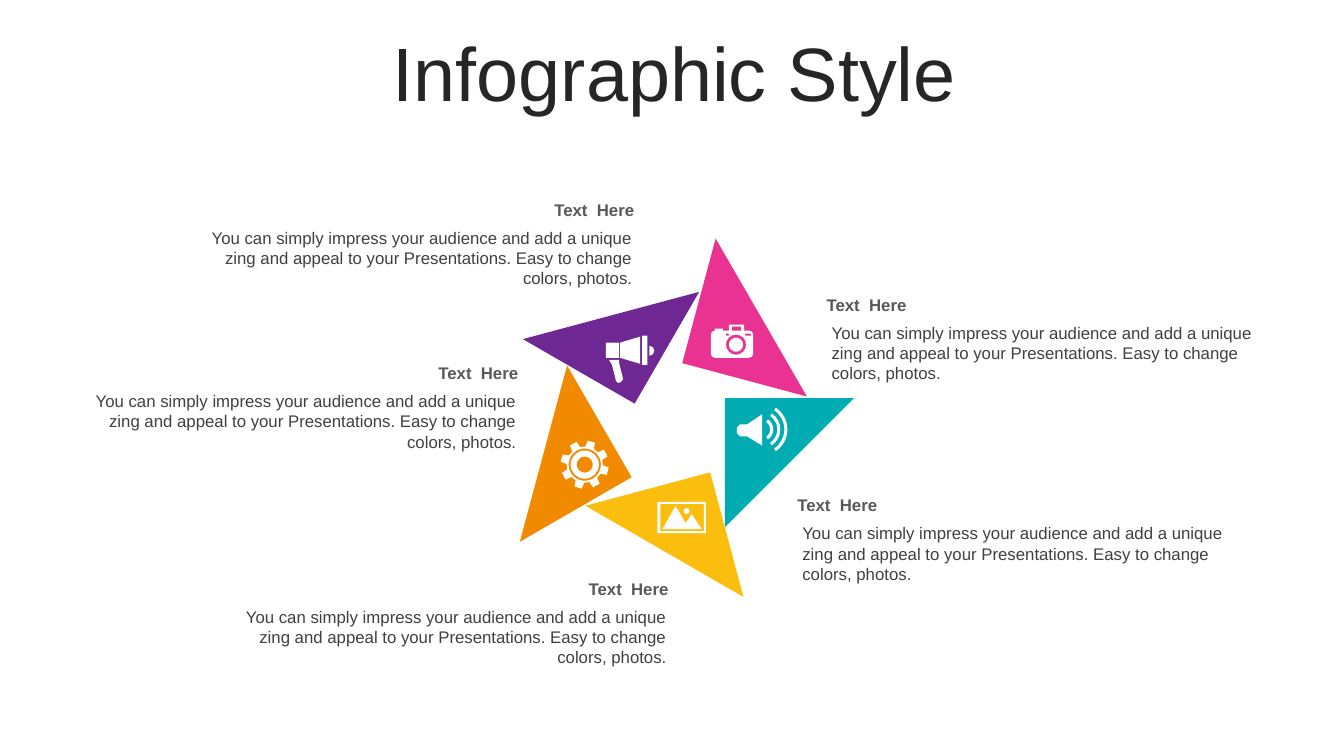
from dataclasses import dataclass
from math import ceil, cos, radians, sin, tan

from lxml.etree import SubElement
from pptx import Presentation
from pptx.dml.color import RGBColor as Rgb
from pptx.enum.shapes import MSO_SHAPE as Preset
from pptx.enum.text import MSO_ANCHOR as Anchor, MSO_AUTO_SIZE as Fit, PP_ALIGN as Align
from pptx.oxml.ns import qn
from pptx.util import Emu, Pt

PX = 9144  # EMU in one px, 100 px to the inch
SIDE = 128
HEAD = "Text  Here"
BODY = ("You can simply impress your audience and add a unique zing and appeal "
        "to your Presentations. Easy to change colors, photos.")

Point = tuple[float, float]
Path = list[tuple[Point, ...]]  # one point is a line, three are a curve


@dataclass(frozen=True)
class Theme:
    font: str = "Arial"
    title: str = "262626"
    head: str = "595959"
    body: str = "404040"
    icon: str = "FFFFFF"
    pink: str = "EA3293"
    teal: str = "00ACB2"
    yellow: str = "FCBE0E"
    orange: str = "F28A00"
    purple: str = "6F2893"
    large: int = 54
    small: int = 12


@dataclass(frozen=True)
class Blade:
    x: int
    y: int
    turn: int
    color: str


@dataclass(frozen=True)
class Note:
    x: int
    y: int
    align: Align


THEME = Theme()
BLADES = [
    Blade(691, 251, 15, THEME.pink),
    Blade(719, 395, 90, THEME.teal),
    Blade(595, 483, 165, THEME.yellow),
    Blade(475, 386, 240, THEME.orange),
    Blade(542, 249, 300, THEME.purple),
]
NOTES = [
    Note(220, 569, Align.RIGHT),
    Note(810, 287, Align.LEFT),
    Note(781, 486, Align.LEFT),
    Note(71, 355, Align.RIGHT),
    Note(186, 193, Align.RIGHT),
]


def px(value: float) -> Emu:
    return Emu(round(value * PX))


def poly(*points: Point) -> Path:
    return [(point,) for point in points]


def polar(x: int, y: int, r: float, angle: float) -> Point:
    return x + r * cos(radians(angle)), y + r * sin(radians(angle))


def arc(x: int, y: int, r: int, start: int, end: int) -> Path:
    """Curves along an arc, angles in degrees clockwise from the right."""
    count = ceil(abs(end - start) / 90)
    step = (end - start) / count
    pull = 4 / 3 * tan(radians(step) / 4)
    path = poly(polar(x, y, r, start))
    for i in range(count):
        a, b = start + i * step, start + (i + 1) * step
        (ax, ay), (bx, by) = polar(x, y, r, a), polar(x, y, r, b)
        path.append(((ax - pull * (ay - y), ay + pull * (ax - x)),
                     (bx + pull * (by - y), by - pull * (bx - x)), (bx, by)))
    return path


def disc(x: int, y: int, r: int) -> Path:
    return arc(x, y, r, 0, 360)


def wave(x: int, y: int, r: int) -> Path:
    """A sound wave: a curved band 3 px thick."""
    return arc(x, y, r + 3, -56, 56) + arc(x, y, r, 56, -56)


def box(x: int, y: int, w: int, h: int) -> Path:
    return poly((x, y), (x + w, y), (x + w, y + h), (x, y + h))


def cog(x: int, y: int) -> Path:
    """The toothed rim of the gear, eight teeth."""
    tooth = [(-14, 18), (-9, 24), (9, 24), (14, 18)]
    return poly(*(polar(x, y, r, 16 + 45 * i + a) for i in range(8) for a, r in tooth))


SPEAKER = [
    poly((756, 411), (756, 442), (741, 433), (734, 433), (731, 430),
         (731, 424), (734, 421), (741, 421)),
    *[wave(755, 426, r) for r in (9, 16, 23)],
]
HORN = [
    poly((604, 357), (614, 357), (614, 360), (618, 376), (616, 379), (613, 380),
         (611, 378), (607, 362)),
    arc(644, 348, 5, -90, 90),
    box(601, 340, 13, 15),
    poly((635, 334), (635, 361), (615, 355), (615, 340)),
    box(637, 333, 5, 29),
]
CAMERA = [
    poly((709, 328), (709, 326), (717, 326), (717, 328), (723, 328), (723, 322),
         (738, 322), (738, 328)) + arc(743, 332, 4, -90, 0) + arc(743, 351, 4, 0, 90)
    + arc(709, 351, 4, 90, 180) + arc(709, 332, 4, 180, 270),
    box(726, 324, 9, 4),
    box(720, 331, 3, 2),
    box(739, 331, 6, 2),
    disc(730, 342, 10),
    disc(730, 342, 7),
]
PHOTO = [
    box(652, 498, 48, 31),
    box(655, 500, 43, 27),
    poly((670, 502), (680, 519), (686, 510), (696, 525), (657, 525)),
    disc(681, 507, 3),
]
GEAR = [cog(580, 461), *[disc(580, 461, r) for r in (16, 14, 8)]]


def paint(shape, color: str) -> None:
    shape.shadow.inherit = False
    shape.fill.solid()
    shape.fill.fore_color.rgb = Rgb.from_string(color)
    shape.line.fill.background()


def draw_blade(shapes, blade: Blade) -> None:
    shape = shapes.add_shape(Preset.RIGHT_TRIANGLE, px(blade.x), px(blade.y),
                             px(SIDE), px(SIDE))
    shape.rotation = blade.turn
    paint(shape, blade.color)


def draw_icon(shapes, paths: list[Path]) -> None:
    """One white outline; inner paths cut holes, three-point steps turn to curves."""
    pen = None
    for path in paths:
        first, *rest = [(px(x), px(y)) for step in path for x, y in step]
        if pen is None:
            pen = shapes.build_freeform(*first)
        else:
            pen.move_to(*first)
        pen.add_line_segments(rest, close=False)
        pen.add_line_segments([], close=True)
    shape = pen.convert_to_shape()
    lines = shape.element.iter(qn("a:lnTo"))
    queue = iter(list(lines))
    for step in (step for path in paths for step in path[1:]):
        group = [next(queue) for _ in step]
        if len(group) == 3:
            curve = SubElement(group[0].getparent(), qn("a:cubicBezTo"))
            group[0].addprevious(curve)
            for line in group:
                curve.append(line[0])
                line.getparent().remove(line)
    paint(shape, THEME.icon)


def add_text(shapes, text: str, area: tuple[int, int, int, int], size: int,
             color: str, align: Align, bold: bool = False):
    frame = shapes.add_textbox(*map(px, area)).text_frame
    frame.word_wrap = True
    frame.text = text
    line = frame.paragraphs[0]
    line.alignment = align
    font = line.runs[0].font
    font.name, font.size, font.bold = THEME.font, Pt(size), bold
    font.color.rgb = Rgb.from_string(color)
    return frame


def draw_note(shapes, note: Note) -> None:
    body = add_text(shapes, BODY, (note.x + 5, note.y + 28, 446, 71),
                    THEME.small, THEME.body, note.align)
    head = add_text(shapes, HEAD, (note.x, note.y, 453, 30),
                    THEME.small, THEME.head, note.align, True)
    for frame in (body, head):
        frame.auto_size = Fit.SHAPE_TO_FIT_TEXT


def main() -> None:
    deck = Presentation()
    deck.slide_width, deck.slide_height = px(1333), px(750)
    shapes = deck.slides.add_slide(deck.slide_layouts[6]).shapes
    title = add_text(shapes, "Infographic Style", (36, 37, 1266, 79),
                     THEME.large, THEME.title, Align.CENTER)
    title.vertical_anchor = Anchor.MIDDLE
    title.paragraphs[0].line_spacing = 0.9
    for blade in BLADES:
        draw_blade(shapes, blade)
    for note in NOTES:
        draw_note(shapes, note)
    for icon in (SPEAKER, HORN, CAMERA, PHOTO, GEAR):
        draw_icon(shapes, icon)
    deck.save("out.pptx")


if __name__ == "__main__":
    main()
